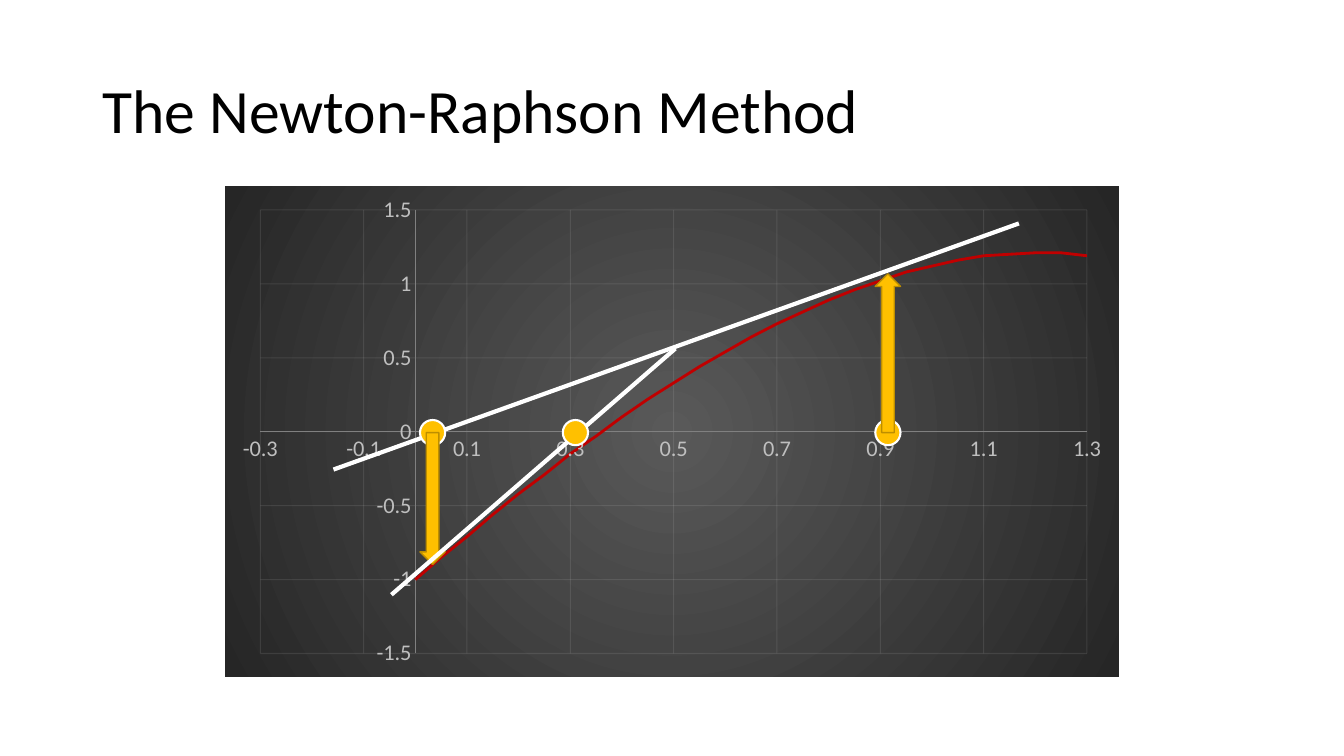
from lxml.etree import SubElement
from pptx import Presentation
from pptx.chart.data import XyChartData
from pptx.dml.color import RGBColor
from pptx.enum.chart import XL_CHART_TYPE, XL_TICK_MARK
from pptx.enum.shapes import MSO_CONNECTOR, MSO_SHAPE
from pptx.enum.text import MSO_ANCHOR, PP_ALIGN
from pptx.oxml import parse_xml
from pptx.oxml.ns import nsdecls, qn
from pptx.util import Inches, Pt

BLACK = RGBColor(0x00, 0x00, 0x00)
WHITE = RGBColor(0xFF, 0xFF, 0xFF)
GOLD = RGBColor(0xFF, 0xC0, 0x00)
DARK_GOLD = RGBColor(0xBD, 0x8E, 0x00)
RED = RGBColor(0xC0, 0x00, 0x00)
LABEL_GRAY = RGBColor(0xBF, 0xBF, 0xBF)
AXIS_GRAY = RGBColor(0x80, 0x80, 0x80)
GRID_GRAY = RGBColor(0xF2, 0xF2, 0xF2)
CHART_CENTER = RGBColor(0x59, 0x59, 0x59)
CHART_EDGE = RGBColor(0x26, 0x26, 0x26)

STEPS_PER_UNIT = 20
CURVE = [
    -1, -0.85, -0.71, -0.56, -0.42, -0.29, -0.15, -0.03, 0.1, 0.22, 0.33,
    0.44, 0.54, 0.64, 0.73, 0.81, 0.89, 0.96, 1.02, 1.08, 1.12,
    1.16, 1.19, 1.2, 1.21, 1.21, 1.19, 1.17, 1.13, 1.08, 1.02,
    0.94, 0.85, 0.74, 0.62, 0.48, 0.32, 0.15, -0.04, -0.25, -0.48,
]

AXIS_ROW = 51.5
FIRST_GUESS, SECOND_GUESS, THIRD_GUESS = 105.7, 51.5, 68.5
MARK_SIZE = 3


class NewtonSlide:
    """Draws on one slide, on a grid of 160 columns and 90 rows."""

    font = "Calibri"
    cell = Inches(1) / 12

    def __init__(self, deck):
        """Add a slide that has only a title."""
        deck.slide_width, deck.slide_height = self.grid(160, 90)
        self.page = deck.slides.add_slide(deck.slide_layouts[5])

    def grid(self, *cells):
        """Turn grid cells into lengths."""
        return [round(count * self.cell) for count in cells]

    def title(self, text, *area):
        """Place and format the title."""
        box = self.page.shapes.title
        box.left, box.top, box.width, box.height = self.grid(*area)
        box.text_frame.vertical_anchor = MSO_ANCHOR.MIDDLE
        para = box.text_frame.paragraphs[0]
        para.alignment = PP_ALIGN.LEFT
        para.line_spacing = 0.9
        span = para.add_run()
        span.text = text
        span.font.name, span.font.size = self.font, Pt(44)
        span.font.color.rgb = BLACK

    def stroke(self, line, color, width):
        """Colour a line and set its width in points."""
        line.color.rgb = color
        line.width = Pt(width)

    def axis(self, axis, low, high, step):
        """Scale and format one chart axis."""
        axis.minimum_scale, axis.maximum_scale = low, high
        axis.major_unit = step
        axis.major_tick_mark = axis.minor_tick_mark = XL_TICK_MARK.NONE
        axis.has_major_gridlines = True
        self.stroke(axis.format.line, AXIS_GRAY, 0.75)
        self.stroke(axis.major_gridlines.format.line, GRID_GRAY, 0.75)
        labels = axis.tick_labels
        labels.number_format, labels.number_format_is_linked = "General", False
        labels.font.name, labels.font.size = self.font, Pt(16)
        labels.font.color.rgb = LABEL_GRAY

    def curve_chart(self, values, *area):
        """Add the smooth curve on a dark radial background."""
        data = XyChartData()
        points = data.add_series("Series 1")
        for index, value in enumerate(values):
            points.add_data_point(index / STEPS_PER_UNIT, value)
        chart = self.page.shapes.add_chart(
            XL_CHART_TYPE.XY_SCATTER_SMOOTH_NO_MARKERS, *self.grid(*area), data
        ).chart
        chart.has_legend = chart.has_title = False
        chart.font.name, chart.font.size = self.font, Pt(10)
        chart.font.color.rgb = BLACK
        chart.plots[0].vary_by_categories = False
        self.axis(chart.category_axis, -0.3, 1.3, 0.2)
        self.axis(chart.value_axis, -1.5, 1.5, 0.5)
        series = chart.plots[0].series[0]
        series.smooth = True
        self.stroke(series.format.line, RED, 2)
        for color in chart.element.xpath(".//c:majorGridlines//a:srgbClr"):
            SubElement(color, qn("a:alpha"), val="10000")
        background = parse_xml(
            f'<c:spPr {nsdecls("c", "a")}><a:gradFill><a:gsLst>'
            f'<a:gs pos="0"><a:srgbClr val="{CHART_CENTER}"/></a:gs>'
            f'<a:gs pos="100000"><a:srgbClr val="{CHART_EDGE}"/></a:gs>'
            '</a:gsLst><a:path path="circle">'
            '<a:fillToRect l="50000" t="50000" r="50000" b="50000"/>'
            "</a:path></a:gradFill><a:ln><a:noFill/></a:ln></c:spPr>"
        )
        chart.element.find(qn("c:chart")).addnext(background)

    def tangent(self, *ends):
        """Draw a tangent between two points."""
        line = self.page.shapes.add_connector(
            MSO_CONNECTOR.STRAIGHT, *self.grid(*ends)
        )
        self.stroke(line.line, WHITE, 3)
        SubElement(line.element.spPr, qn("a:effectLst"))

    def gold_shape(self, kind, area, outline, width):
        """Add a gold preset shape."""
        shape = self.page.shapes.add_shape(kind, *self.grid(*area))
        shape.shadow.inherit = False
        shape.fill.solid()
        shape.fill.fore_color.rgb = GOLD
        self.stroke(shape.line, outline, width)
        return shape

    def guess(self, column):
        """Mark a guess on the horizontal axis."""
        half = MARK_SIZE / 2
        area = (column - half, AXIS_ROW - half, MARK_SIZE, MARK_SIZE)
        self.gold_shape(MSO_SHAPE.OVAL, area, WHITE, 1.5)

    def step_to_curve(self, column, row):
        """Point from the horizontal axis to the curve."""
        area = (column - MARK_SIZE / 2, min(row, AXIS_ROW),
                MARK_SIZE, abs(row - AXIS_ROW))
        arrow = self.gold_shape(MSO_SHAPE.DOWN_ARROW, area, DARK_GOLD, 1)
        arrow.rotation = 180 if row < AXIS_ROW else 0


def main():
    """Build and save the slide."""
    deck = Presentation()
    slide = NewtonSlide(deck)
    slide.title("The Newton-Raphson Method", 11, 4.8, 138, 17.4)
    slide.curve_chart(CURVE, 26.8, 22.2, 106.4, 58.4)
    slide.tangent(121.3, 26.6, 39.7, 55.9)
    slide.guess(FIRST_GUESS)
    slide.guess(SECOND_GUESS)
    slide.step_to_curve(SECOND_GUESS, 67.2)
    slide.tangent(80.4, 41.5, 46.6, 70.8)
    slide.guess(THIRD_GUESS)
    slide.step_to_curve(FIRST_GUESS, 32.6)
    deck.save("out.pptx")


if __name__ == "__main__":
    main()
